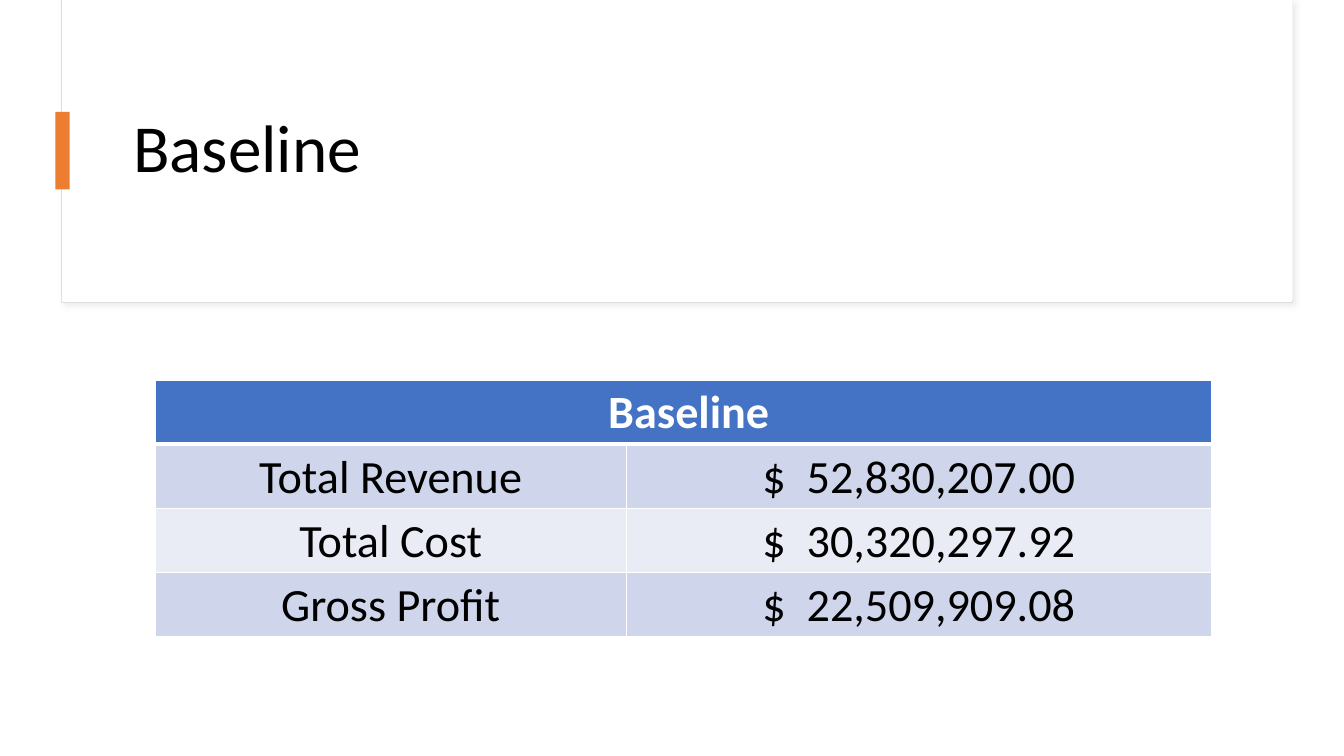
from lxml import etree
from pptx import Presentation
from pptx import util as u
from pptx.dml import color
from pptx.enum import shapes, text
from pptx.oxml import ns, parse_xml


def paint(target, hex_color):
    target.solid()
    target.fore_color.rgb = color.RGBColor.from_string(hex_color)


def add_block(left, top, width, height, hex_color):
    shape = slide.shapes.add_shape(
        shapes.MSO_SHAPE.RECTANGLE,
        u.Inches(left), u.Inches(top), u.Inches(width), u.Inches(height))
    shape.shadow.inherit = False
    paint(shape.fill, hex_color)
    shape.line.fill.background()
    return shape


presentation = Presentation()
presentation.slide_width = u.Inches(13.33)
presentation.slide_height = u.Inches(7.5)
slide = presentation.slides.add_slide(presentation.slide_layouts[5])
paint(slide.background.fill, "FFFFFF")

panel = add_block(0.61, 0, 12.21, 3, "FFFFFF")
paint(panel.line.fill, "DEDEDE")
panel.line.width = u.Pt(0.75)
effects = panel._element.spPr.find(ns.qn("a:effectLst"))
effects.append(parse_xml(
    f'<a:outerShdw {ns.nsdecls("a")} blurRad="{u.Pt(4)}" dist="{u.Pt(3)}" '
    'dir="2700000" algn="tl" rotWithShape="0">'
    '<a:srgbClr val="D9D9D9"><a:alpha val="50000"/></a:srgbClr></a:outerShdw>'))
add_block(0.62, 0, 12.2, 2.98, "FFFFFF")

title = slide.shapes.title
slide.shapes._spTree.append(title._element)
title.left, title.top = u.Inches(1.22), u.Inches(0.38)
title.width, title.height = u.Inches(11.12), u.Inches(2.24)
title.text_frame.text = "Baseline"
title.text_frame.vertical_anchor = text.MSO_ANCHOR.MIDDLE
paragraph = title.text_frame.paragraphs[0]
paragraph.alignment = text.PP_ALIGN.LEFT
paragraph.line_spacing = 0.9
paragraph.font.size = u.Pt(48)
paragraph.font.name = "Calibri"
paint(paragraph.font.fill, "000000")

add_block(0.55, 1.11, 0.14, 0.77, "ED7D31")

rows = [
    ("\N{NO-BREAK SPACE}Baseline", ""),
    ("Total Revenue", " $  52,830,207.00 "),
    ("Total Cost", " $  30,320,297.92 "),
    ("Gross Profit", " $  22,509,909.08 "),
]
row_fills = ["4472C4", "CFD5EA", "E9EBF5", "CFD5EA"]
table = slide.shapes.add_table(
    len(rows), 2, u.Inches(1.54), u.Inches(3.77), u.Inches(10.48), u.Inches(2.55)).table
table.columns[0].width = u.Inches(4.67)
table.columns[1].width = u.Inches(5.81)
table.cell(0, 0).merge(table.cell(0, 1))

for row_index, values in enumerate(rows):
    is_header = row_index == 0
    for column_index, value in enumerate(values):
        cell = table.cell(row_index, column_index)
        cell.text_frame.text = value
        cell.vertical_anchor = text.MSO_ANCHOR.MIDDLE
        cell.margin_left = cell.margin_right = cell.margin_top = u.Inches(0.02)
        cell.margin_bottom = 0
        paragraph = cell.text_frame.paragraphs[0]
        paragraph.alignment = text.PP_ALIGN.CENTER
        paragraph.font.size = u.Pt(33)
        paragraph.font.name = "Calibri"
        paragraph.font.bold = is_header
        paint(paragraph.font.fill, "FFFFFF" if is_header else "000000")
        border_widths = {
            "lnL": 1, "lnR": 1,
            "lnT": 3 if row_index == 1 else 1,
            "lnB": 3 if is_header else 1,
        }
        properties = cell._tc.get_or_add_tcPr()
        for side, width in border_widths.items():
            line = etree.SubElement(properties, ns.qn(f"a:{side}"), w=str(u.Pt(width)))
            line_fill = etree.SubElement(line, ns.qn("a:solidFill"))
            etree.SubElement(line_fill, ns.qn("a:srgbClr"), val="FFFFFF")
        paint(cell.fill, row_fills[row_index])

presentation.save("out.pptx")
